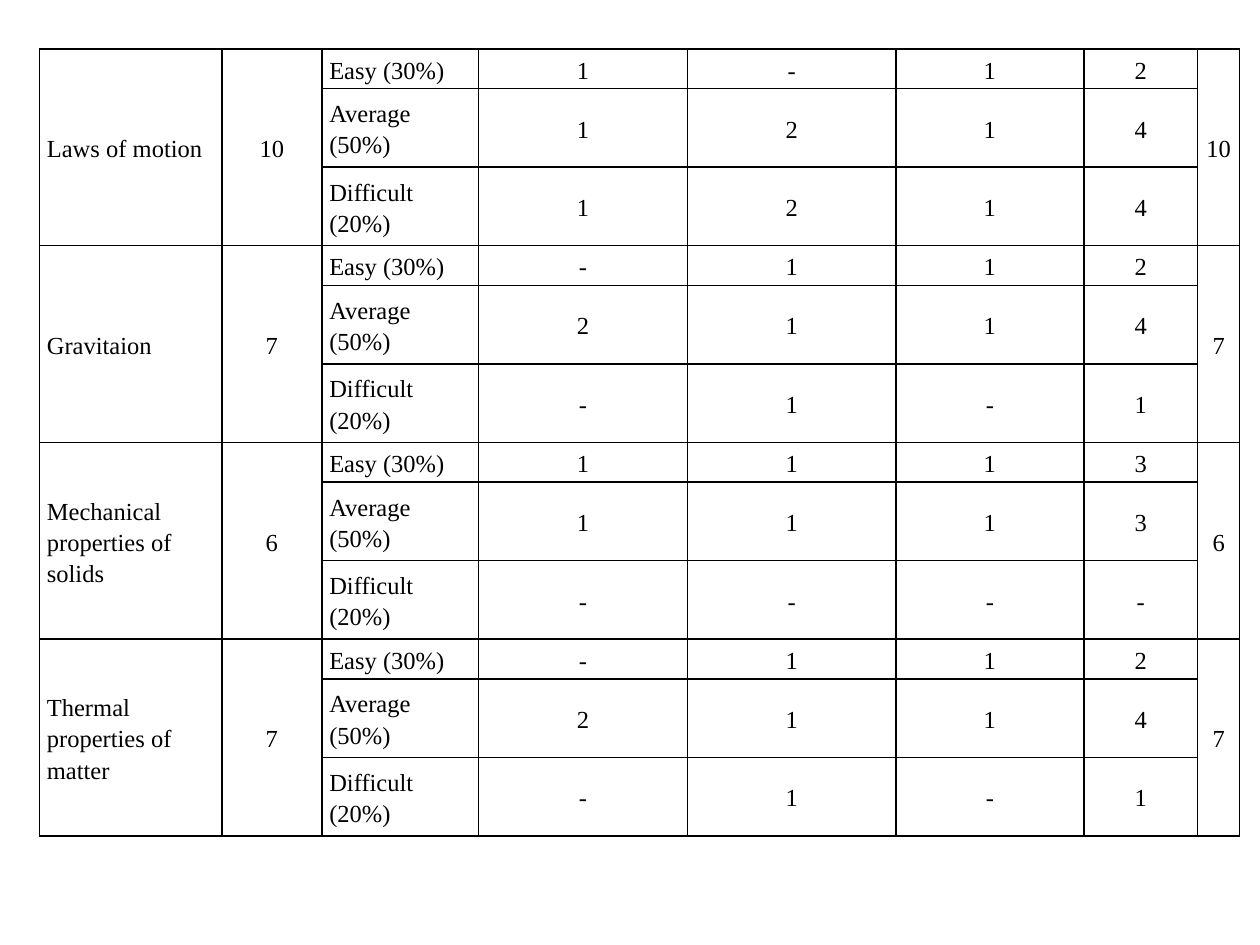
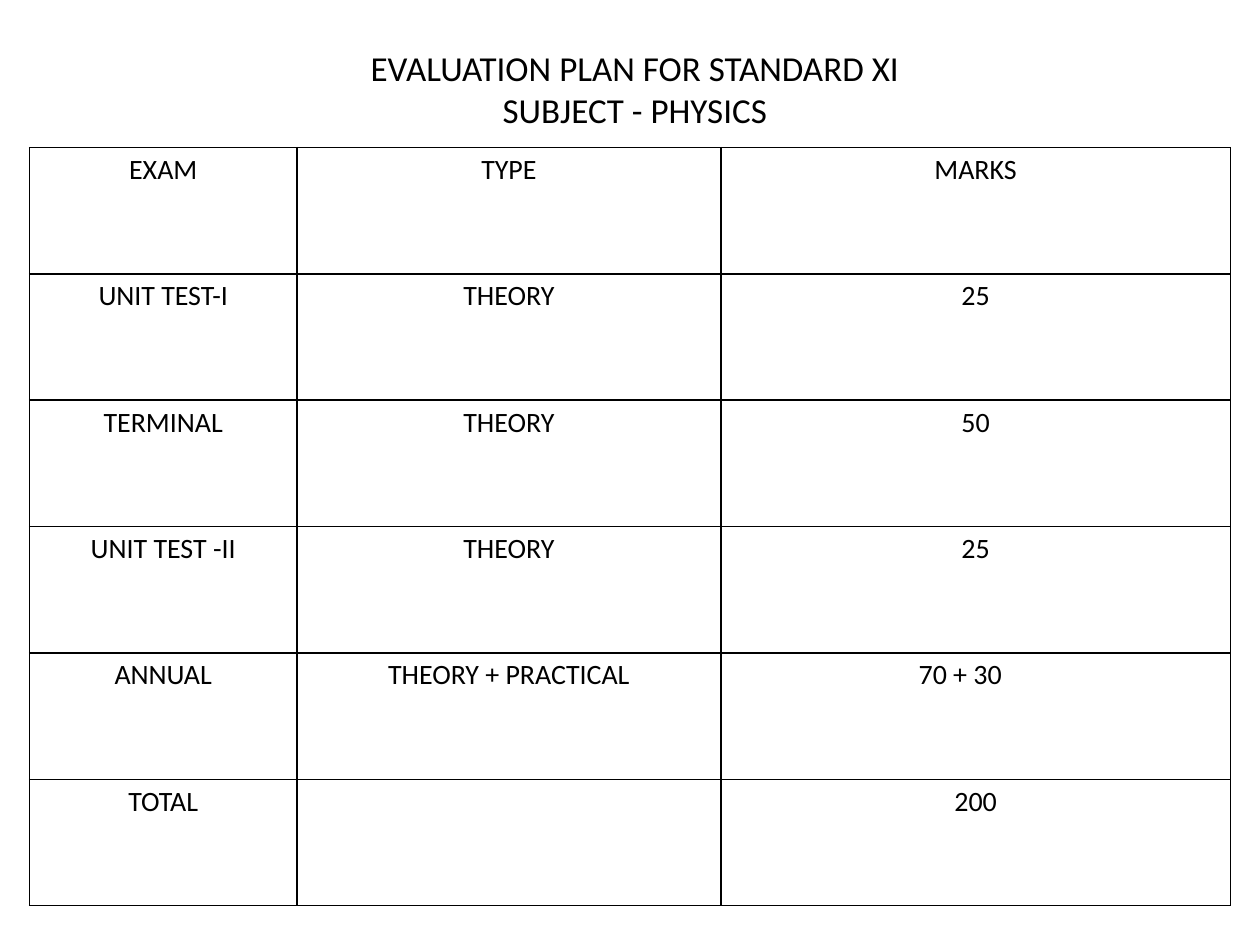
from lxml import etree
from pptx import Presentation
from pptx.dml.color import RGBColor
from pptx.enum import text
from pptx.oxml import ns
from pptx.util import Pt

COLORS = {"ink": "000000", "border": "000000"}
LEFT, CENTER = text.PP_ALIGN.LEFT, text.PP_ALIGN.CENTER

LEVELS = ["Easy (30%)", "Average (50%)", "Difficult (20%)"]
# Unit, marks, then one row of question counts per level
UNITS = [
    ("Laws of motion", "10", ["1 - 1 2", "1 2 1 4", "1 2 1 4"]),
    ("Gravitaion", "7", ["- 1 1 2", "2 1 1 4", "- 1 - 1"]),
    ("Mechanical properties of solids", "6", ["1 1 1 3", "1 1 1 3", "- - - -"]),
    ("Thermal properties of matter", "7", ["- 1 1 2", "2 1 1 4", "- 1 - 1"]),
]
UNIT_COLUMNS = [104.3, 57.1, 89.7, 119.2, 119.2, 107.4, 65.1, 24]
LEVEL_HEIGHTS = [22.7, 44.9, 44.9]
MERGED_COLUMNS = (0, 1, 7)
LEFT_COLUMNS = (0, 2)

PLAN_TITLE = ["EVALUATION PLAN FOR STANDARD XI", "SUBJECT - PHYSICS"]
PLAN = [
    ("EXAM", "TYPE", "MARKS"),
    ("UNIT TEST-I", "THEORY", "25"),
    ("TERMINAL", "THEORY", "50"),
    ("UNIT TEST -II", "THEORY", "25"),
    ("ANNUAL", "THEORY + PRACTICAL", "70 + 30"),
    ("TOTAL", "", "200"),
]
PLAN_COLUMNS = [152.8, 242.3, 291.1]
PLAN_ROW_HEIGHT = 72.2
SPLIT_MARKS_INDENT = 113


def style_paragraph(para, font, size, align):
    para.alignment = align
    para.font.name = font
    para.font.size = Pt(size)
    para.font.bold = False
    para.font.color.rgb = RGBColor.from_string(COLORS["ink"])


def add_borders(cell):
    properties = cell._tc.get_or_add_tcPr()
    for side in ("lnL", "lnR", "lnT", "lnB"):
        line = etree.SubElement(properties, ns.qn(f"a:{side}"), w=str(Pt(1)))
        fill = etree.SubElement(line, ns.qn("a:solidFill"))
        etree.SubElement(fill, ns.qn("a:srgbClr"), val=COLORS["border"])


def add_grid(slide, left, top, widths, heights):
    """Add a plain table with black borders and no fill."""
    frame = slide.shapes.add_table(len(heights), len(widths), Pt(left), Pt(top),
                                   Pt(sum(widths)), Pt(sum(heights)))
    table = frame.table
    table.first_row = table.horz_banding = False
    for column, width in zip(table.columns, widths):
        column.width = Pt(width)
    for row, height in zip(table.rows, heights):
        row.height = Pt(height)
    for cell in table.iter_cells():
        add_borders(cell)
        cell.fill.background()
    return table


def fill_cell(cell, words, font, size, align, inset, anchor):
    cell.margin_left = cell.margin_right = Pt(inset)
    cell.margin_top = cell.margin_bottom = 0
    cell.vertical_anchor = anchor
    cell.text = words
    para = cell.text_frame.paragraphs[0]
    para.line_spacing = 1.15
    style_paragraph(para, font, size, align)


def build_units(deck):
    slide = deck.slides.add_slide(deck.slide_layouts[6])
    table = add_grid(slide, 22.5, 28, UNIT_COLUMNS, LEVEL_HEIGHTS * len(UNITS))
    for number, (unit, marks, counts) in enumerate(UNITS):
        first = number * len(LEVELS)
        last = first + len(LEVELS) - 1
        for col in MERGED_COLUMNS:
            table.cell(first, col).merge(table.cell(last, col))
        for offset, (level, count) in enumerate(zip(LEVELS, counts)):
            for col, words in enumerate([unit, marks, level, *count.split(), marks]):
                if offset and col in MERGED_COLUMNS:
                    continue
                fill_cell(table.cell(first + offset, col), words, "Times New Roman", 14,
                          LEFT if col in LEFT_COLUMNS else CENTER,
                          4.3, text.MSO_ANCHOR.MIDDLE)


def build_plan(deck):
    slide = deck.slides.add_slide(deck.slide_layouts[5])
    title = slide.shapes.title
    title.left, title.top, title.width, title.height = map(Pt, (28, 22.5, 669.6, 55.7))
    frame = title.text_frame
    frame.text = "\n".join(PLAN_TITLE)
    frame.auto_size = text.MSO_AUTO_SIZE.SHAPE_TO_FIT_TEXT
    frame.vertical_anchor = text.MSO_ANCHOR.MIDDLE
    for para in frame.paragraphs:
        style_paragraph(para, "Calibri", 20, CENTER)

    table = add_grid(slide, 16.9, 84.3, PLAN_COLUMNS, [PLAN_ROW_HEIGHT] * len(PLAN))
    for row, exam in enumerate(PLAN):
        for col, words in enumerate(exam):
            split_marks = col == 2 and "+" in words
            cell = table.cell(row, col)
            fill_cell(cell, words, "Calibri", 16, LEFT if split_marks else CENTER,
                      5, text.MSO_ANCHOR.TOP)
            if split_marks:
                cell.margin_left = Pt(SPLIT_MARKS_INDENT)


def main():
    deck = Presentation()
    deck.slide_width, deck.slide_height = Pt(720), Pt(540)
    build_units(deck)
    build_plan(deck)
    deck.save("out.pptx")


if __name__ == "__main__":
    main()
